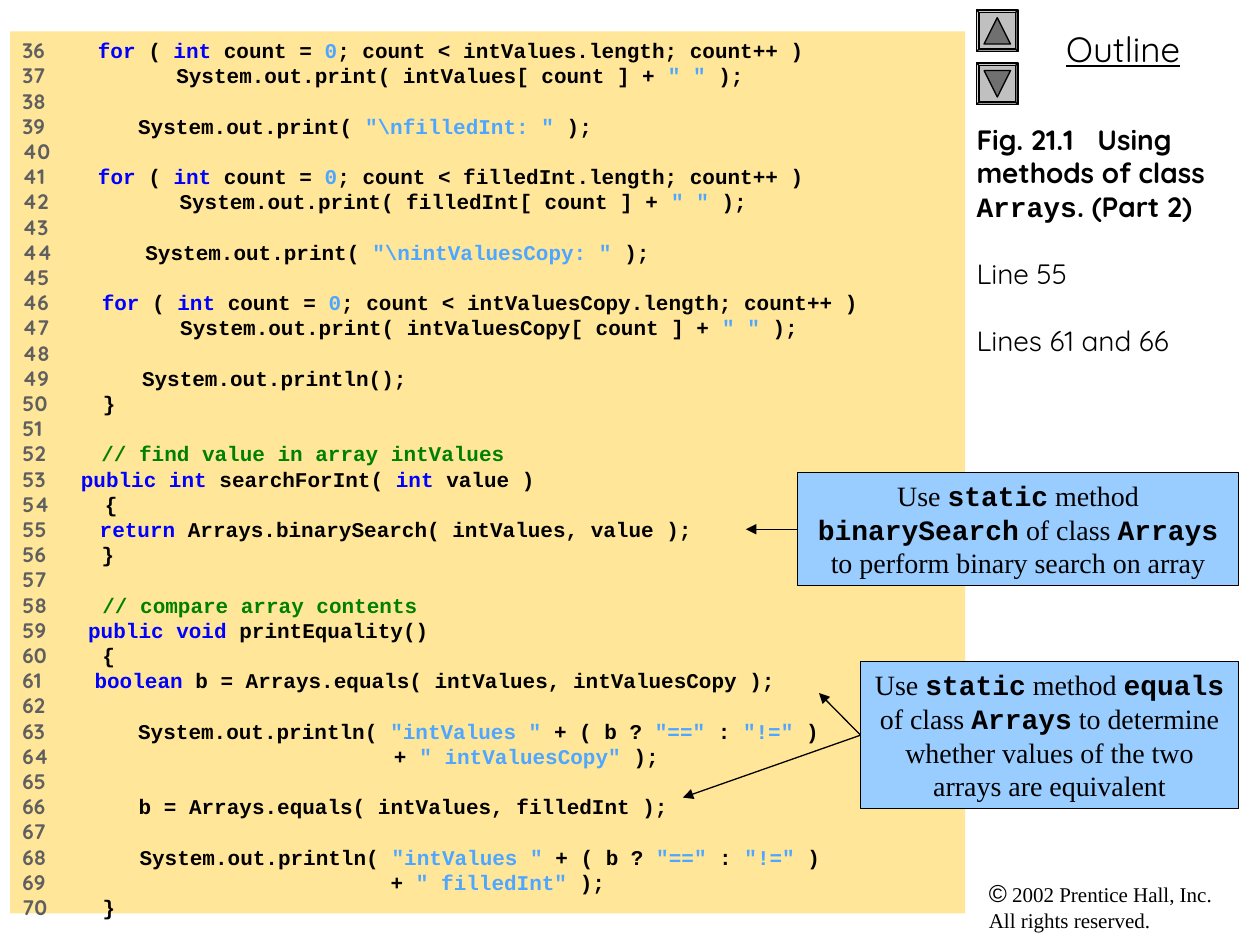
import pptx
import pptx.dml.color
import pptx.enum.shapes
import pptx.enum.text
import pptx.util
from lxml import etree
from pptx.oxml.ns import qn

RGB = pptx.dml.color.RGBColor
Inches, Pt = pptx.util.Inches, pptx.util.Pt
SHAPE = pptx.enum.shapes.MSO_SHAPE
ALIGN = pptx.enum.text.PP_ALIGN

BLACK = RGB(0x00, 0x00, 0x00)
GREY = RGB(0x5F, 0x5F, 0x5F)
KEYWORD = RGB(0x00, 0x00, 0xFF)
LITERAL = RGB(0x4D, 0xA6, 0xFF)
COMMENT = RGB(0x00, 0x80, 0x00)
PANEL = RGB(0xFF, 0xE6, 0x99)
CALLOUT = RGB(0x99, 0xCC, 0xFF)
BUTTON = RGB(0xC0, 0xC0, 0xC0)
ARROW = RGB(0x70, 0x70, 0x70)

SANS, SERIF, MONO, SYMBOL = "Quicksand", "Times New Roman", "Courier New", "Arial"

# ---- Content ----


def for_loop(array):
    return 9, [("for", KEYWORD), (" ( ", BLACK), ("int", KEYWORD),
               (" count = ", BLACK), ("0", LITERAL),
               (f"; count < {array}.length; count++ )", BLACK)]


def print_item(array):
    return 3, [(f"         System.out.print( {array}[ count ] + ", BLACK),
               ('" "', LITERAL), (" );", BLACK)]


def print_label(label):
    return 3, [("      System.out.print( ", BLACK), (label, LITERAL), (" );", BLACK)]


def plain(code, color=BLACK):
    return 3, [(code, color)]


def equality_tail(label):
    return 3, [("                          + ", BLACK), (label, LITERAL), (" );", BLACK)]


EQUALITY = 3, [("      System.out.println( ", BLACK), ('"intValues "', LITERAL),
               (" + ( b ? ", BLACK), ('"=="', LITERAL), (" : ", BLACK),
               ('"!="', LITERAL), (" )", BLACK)]
EMPTY = 0, []
OPEN, CLOSE = plain("   {"), plain("   }")

# Each line: spaces after the line number, then coloured pieces of code
FIRST_LINE = 36
CODE = [
    for_loop("intValues"),
    print_item("intValues"),
    EMPTY,
    print_label(r'"\nfilledInt: "'),
    EMPTY,
    for_loop("filledInt"),
    print_item("filledInt"),
    EMPTY,
    print_label(r'"\nintValuesCopy: "'),
    EMPTY,
    for_loop("intValuesCopy"),
    print_item("intValuesCopy"),
    EMPTY,
    plain("      System.out.println();"),
    CLOSE,
    EMPTY,
    plain("   // find value in array intValues", COMMENT),
    (6, [("public int", KEYWORD), (" searchForInt( ", BLACK),
         ("int", KEYWORD), (" value )", BLACK)]),
    OPEN,
    (9, [("return", KEYWORD), (" Arrays.binarySearch( intValues, value );", BLACK)]),
    CLOSE,
    EMPTY,
    plain("   // compare array contents", COMMENT),
    (5, [(" public void", KEYWORD), (" printEquality()", BLACK)]),
    OPEN,
    (9, [("boolean", KEYWORD),
         (" b = Arrays.equals( intValues, intValuesCopy );", BLACK)]),
    EMPTY,
    EQUALITY,
    equality_tail('" intValuesCopy"'),
    EMPTY,
    plain("      b = Arrays.equals( intValues, filledInt );"),
    EMPTY,
    EQUALITY,
    equality_tail('" filledInt"'),
    CLOSE,
]

# Title paragraphs: pieces of (text, font, bold)
TITLE = [
    [("Fig. 21.1\tUsing methods of class ", SANS, True), ("Arrays", MONO, True),
     (". (Part 2)", SANS, True)],
    [("Line 55", SANS, False)],
    [("Lines 61 and 66", SANS, False)],
]

# Callouts: box (left, top, width, height), arrow tips, text with code at odd places
CALLOUTS = [
    ((6.33, 3.75, 3.5, 0.9), [(5.92, 4.2)],
     ["Use ", "static", " method ", "binarySearch", " of class ", "Arrays",
      " to perform binary search on array"]),
    ((6.83, 5.25, 3, 1.17), [(5.42, 6.33), (6.5, 5.5)],
     ["Use ", "static", " method ", "equals", " of class ", "Arrays",
      " to determine whether values of the two arrays are equivalent"]),
]

BUTTONS = [(0.08, 0), (0.5, 180)]  # top, rotation of the triangle

# ---- Helpers ----


def add_run(p, text, font, size, color=BLACK, bold=False):
    r = p.add_run()
    r.text = text
    r.font.name, r.font.size, r.font.bold = font, Pt(size), bold
    r.font.color.rgb = color
    return r


def add_box(kind, box, fill, line=None):
    sp = slide.shapes.add_shape(kind, *map(Inches, box))
    sp.shadow.inherit = False
    sp.fill.solid()
    sp.fill.fore_color.rgb = fill
    if line is None:
        sp.line.fill.background()
    else:
        sp.line.color.rgb, sp.line.width = line, Pt(0.75)
    sp.text_frame.word_wrap = True
    return sp


def add_label(box):
    tf = slide.shapes.add_textbox(*map(Inches, box)).text_frame
    tf.word_wrap = True
    return tf.paragraphs[0]


def add_arrow(sp, tip):
    x, y = map(Inches, tip)
    line = slide.shapes.add_connector(pptx.enum.shapes.MSO_CONNECTOR.STRAIGHT,
                                      sp.left, sp.top, x, y)
    line.begin_connect(sp, 1)
    line.line.color.rgb, line.line.width = BLACK, Pt(0.75)
    etree.SubElement(line.line._get_or_add_ln(), qn("a:tailEnd"), type="triangle")
    etree.SubElement(line._element.spPr, qn("a:effectLst"))


# ---- Slide ----
prs = pptx.Presentation()
prs.slide_width, prs.slide_height = Inches(10), Inches(7.5)
slide = prs.slides.add_slide(prs.slide_layouts[5])

# Title column
title = slide.shapes.title
title.left, title.top, title.width, title.height = map(Inches, (7.75, 0.92, 2.25, 6))
tf = title.text_frame
tf.word_wrap, tf.margin_left = True, 0
tf.auto_size = pptx.enum.text.MSO_AUTO_SIZE.NONE
tf.vertical_anchor = pptx.enum.text.MSO_ANCHOR.TOP
for i, pieces in enumerate(TITLE):
    p = tf.add_paragraph() if i else tf.paragraphs[0]
    p.alignment = ALIGN.LEFT
    if i:
        p.space_before = Pt(19.2)
    else:
        tabs = etree.SubElement(p._p.get_or_add_pPr(), qn("a:tabLst"))
        etree.SubElement(tabs, qn("a:tab"), pos=str(Inches(0.96)), algn="l")
    for text, font, bold in pieces:
        add_run(p, text, font, 16, bold=bold)

# Outline heading and copyright line
p = add_label((7.83, 0.17, 2.17, 0.44))
p.alignment = ALIGN.CENTER
add_run(p, "Outline", SANS, 20).font.underline = True
p = add_label((7.75, 6.92, 2.17, 0.54))
add_run(p, "©", SYMBOL, 14)
add_run(p, " 2002 Prentice Hall, Inc.", SERIF, 12)
p.add_line_break()
add_run(p, "All rights reserved.", SERIF, 12)

# Up and down buttons
for top, turn in BUTTONS:
    add_box(SHAPE.BEVEL, (7.75, top, 0.33, 0.33), BUTTON, BLACK).adjustments[0] = 0.06
    add_box(SHAPE.ISOSCELES_TRIANGLE, (7.81, top + 0.06, 0.21, 0.21),
            ARROW, BLACK).rotation = turn

# Code listing
tf = add_box(SHAPE.RECTANGLE, (0.08, 0.25, 7.58, 7), PANEL).text_frame
tf.vertical_anchor = pptx.enum.text.MSO_ANCHOR.TOP
for i, (gap, pieces) in enumerate(CODE):
    p = tf.add_paragraph() if i else tf.paragraphs[0]
    p.alignment = ALIGN.LEFT
    add_run(p, str(FIRST_LINE + i) + " " * gap, SANS, 12, GREY, True)
    for text, color in pieces:
        add_run(p, text, MONO, 12, color, True)

# Callouts with their arrows
for box, tips, pieces in CALLOUTS:
    sp = add_box(SHAPE.RECTANGLE, box, CALLOUT, BLACK)
    p = sp.text_frame.paragraphs[0]
    p.alignment = ALIGN.CENTER
    for i, text in enumerate(pieces):
        is_code = i % 2 == 1
        add_run(p, text, MONO if is_code else SERIF, 16, bold=is_code)
    for tip in tips:
        add_arrow(sp, tip)

prs.save("out.pptx")
